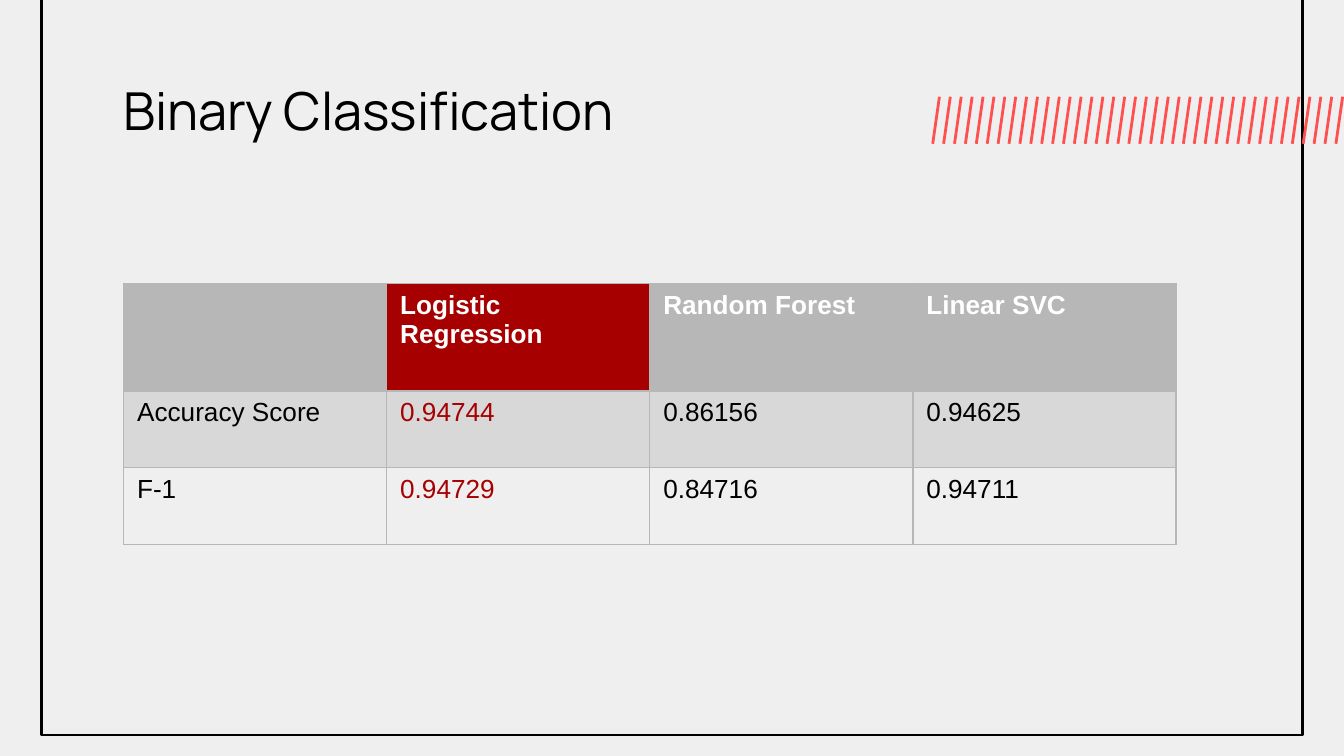
from dataclasses import dataclass

from lxml.etree import SubElement as Sub
from pptx import Presentation
from pptx.dml.color import RGBColor as RGB
from pptx.enum.shapes import MSO_CONNECTOR as LINK, MSO_SHAPE as SHAPE
from pptx.enum.text import MSO_ANCHOR as ANCHOR
from pptx.oxml import parse_xml
from pptx.oxml.ns import nsdecls, qn
from pptx.util import Inches, Pt


@dataclass(frozen=True)
class Theme:
    paper: str = "EFEFEF"
    ink: str = "000000"
    white: str = "FFFFFF"
    gray: str = "B7B7B7"
    red: str = "A70000"
    coral: str = "FF4F4F"
    head: str = "Manrope"
    body: str = "Arial"
    big: int = 28
    small: int = 14
    rule: float = 1.5
    grid: float = 0.75


class Deck:
    def __init__(self, theme):
        self.theme = theme
        self.file = Presentation()
        self.file.slide_width = Inches(10)
        self.file.slide_height = Inches(10 * 9 / 16)
        self.slide = self.file.slides.add_slide(self.file.slide_layouts[6])
        self.shapes = self.slide.shapes
        self.paint(self.slide.background.fill, theme.paper)

    def paint(self, fill, color):
        fill.solid()
        fill.fore_color.rgb = RGB.from_string(color)

    def stroke(self, line, color):
        self.paint(line.fill, color)
        line.width = Pt(self.theme.rule)

    def style(self, para, face, size, color, bold=False):
        font = para.font
        font.name, font.size, font.bold = face, Pt(size), bold
        font.color.rgb = RGB.from_string(color)

    def frame(self, x, y, w, h):
        box = self.shapes.add_shape(
            SHAPE.RECTANGLE, Inches(x), Inches(y), Inches(w), Inches(h))
        box.shadow.inherit = False
        box.fill.background()
        self.stroke(box.line, self.theme.ink)

    def slash(self, x, top, low, lean):
        link = self.shapes.add_connector(
            LINK.STRAIGHT, Inches(x), Inches(top), Inches(x - lean), Inches(low))
        self.stroke(link.line, self.theme.coral)
        Sub(link._element.spPr, qn("a:effectLst"))

    def title(self, text, x, y, w, h):
        box = self.shapes.add_textbox(Inches(x), Inches(y), Inches(w), Inches(h))
        body = box.text_frame
        body.word_wrap = True
        body.vertical_anchor = ANCHOR.TOP
        body.margin_left = body.margin_right = Inches(0.1)
        body.margin_top = body.margin_bottom = Inches(0.1)
        body.text = text
        self.style(body.paragraphs[0], self.theme.head, self.theme.big, self.theme.ink)

    def border(self, cell):
        props = cell._tc.get_or_add_tcPr()
        for spot, side in enumerate("LRTB"):
            props.insert(spot, parse_xml(
                f'<a:ln{side} {nsdecls("a")} w="{Pt(self.theme.grid)}"><a:solidFill>'
                f'<a:srgbClr val="{self.theme.gray}"/></a:solidFill></a:ln{side}>'))

    def shade(self, cell, row, col, best):
        """Fill the header, tint the first data row, leave the second clear."""
        if row == 0:
            self.paint(cell.fill, self.theme.red if col == best else self.theme.gray)
        elif row == 1:
            self.paint(cell.fill, self.theme.gray)
            tint = cell._tc.tcPr.find(f".//{qn('a:srgbClr')}")
            Sub(tint, qn("a:alpha"), val="40000")
        else:
            cell.fill.background()

    def table(self, rows, x, y, wide, highs, best):
        theme = self.theme
        count = len(rows[0])
        grid = self.shapes.add_table(
            len(rows), count, Inches(x), Inches(y),
            Inches(wide), Inches(sum(highs))).table
        grid.first_row = grid.horz_banding = False
        for col in grid.columns:
            col.width = Inches(wide / count)
        for r, (texts, high) in enumerate(zip(rows, highs)):
            grid.rows[r].height = Inches(high)
            for c, text in enumerate(texts):
                cell = grid.cell(r, c)
                cell.text = text
                color = theme.white if r == 0 else theme.red if c == best else theme.ink
                self.style(cell.text_frame.paragraphs[0], theme.body,
                           theme.small, color, r == 0)
                self.shade(cell, r, c, best)
                self.border(cell)


def main():
    deck = Deck(Theme())
    deck.frame(0.31, -0.1, 9.38, 5.57)
    count, first, last = 38, 6.99, 9.99
    for i in range(count):
        x = first + i * (last - first) / (count - 1)
        deck.slash(x, top=0.72, low=1.07, lean=0.05)
    deck.title("Binary Classification", 0.82, 0.48, 8.43, 0.63)
    scores = [
        ["", "Logistic Regression", "Random Forest", "Linear SVC"],
        ["Accuracy Score", "0.94744", "0.86156", "0.94625"],
        ["F-1", "0.94729", "0.84716", "0.94711"],
    ]
    deck.table(scores, 0.92, 2.11, 7.83, [0.8, 0.57, 0.57], best=1)
    deck.file.save("out.pptx")


if __name__ == "__main__":
    main()
